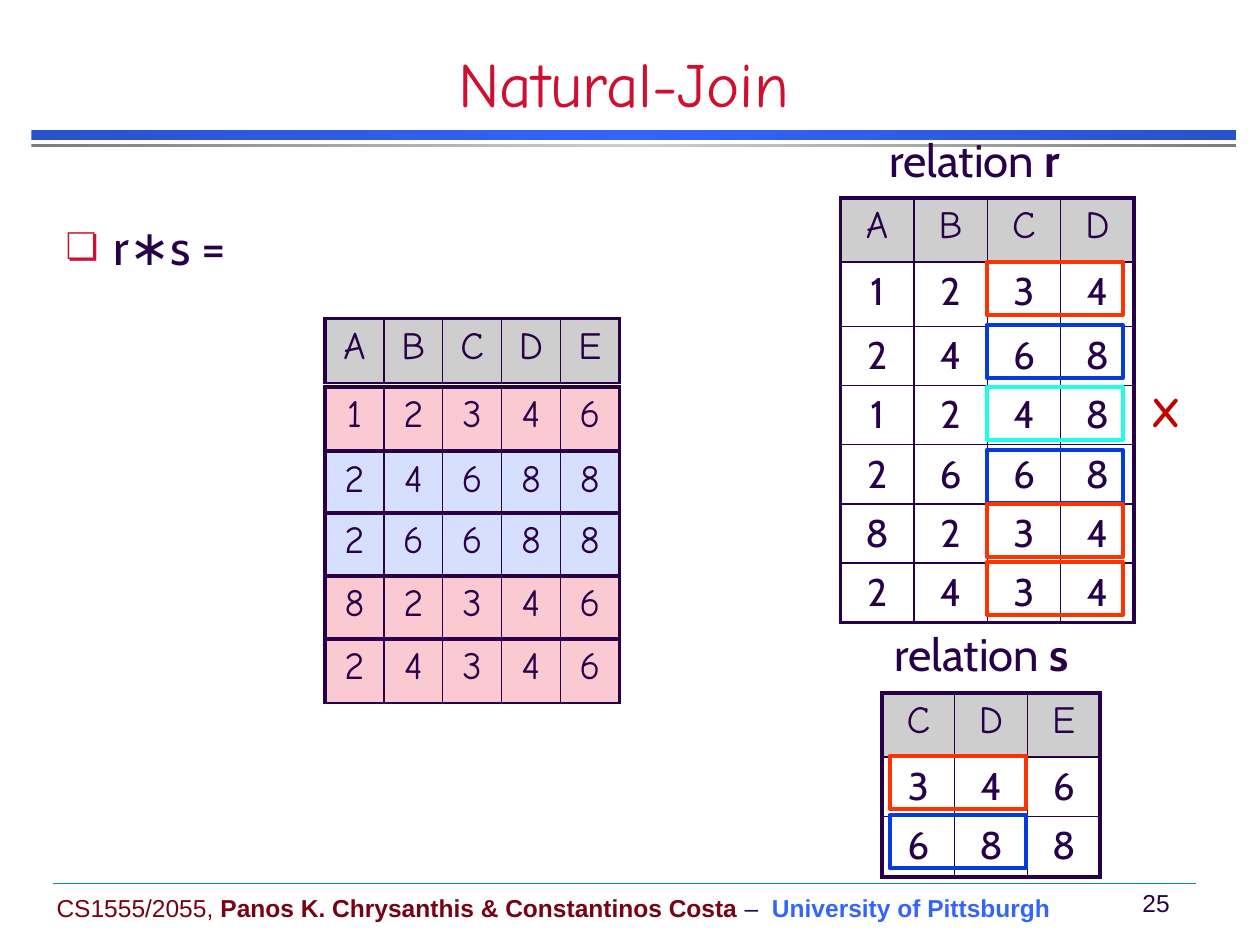
from copy import deepcopy
from lxml.etree import SubElement
from pptx import Presentation
from pptx.dml.color import RGBColor
from pptx.enum.shapes import MSO_CONNECTOR, MSO_SHAPE
from pptx.enum.text import MSO_ANCHOR, PP_ALIGN
from pptx.oxml.ns import qn
from pptx.util import Inches, Pt

INK = RGBColor(0x28, 0x00, 0x49)
CRIMSON = RGBColor(0xCF, 0x0E, 0x30)
MAROON = RGBColor(0x79, 0x00, 0x15)
AZURE = RGBColor(0x33, 0x65, 0xFB)
NAVY = RGBColor(0x29, 0x51, 0xC9)
SILVER = RGBColor(0xCE, 0xCE, 0xCE)
GREY = RGBColor(0x7C, 0x7C, 0x7C)
TEAL = RGBColor(0x00, 0x96, 0x88)
PINK = RGBColor(0xFB, 0xC9, 0xD2)
PALE = RGBColor(0xD6, 0xE0, 0xFE)
ORANGE = RGBColor(0xFF, 0x33, 0x00)
BLUE = RGBColor(0x04, 0x3B, 0xDE)
CYAN = RGBColor(0x1E, 0xFF, 0xEB)
RED = RGBColor(0xC0, 0x00, 0x00)
HAND, SANS, PLAIN = "Comic Neue", "Cabin", "Arial"

# Relations: left, top, column width, row heights, rows of values
RELATIONS = [
    (6.67, 1.57, 0.583, [0.51, 0.51] + [0.47] * 5,
     ["ABCD", "1234", "2468", "1248", "2668", "8234", "2434"]),
    (7, 5.5, 0.577, [0.51, 0.47, 0.48], ["CDE", "346", "688"]),
]
# Join result: one strip per tuple, with its top and fill
STRIPS = [
    ("ABCDE", 2.53, SILVER), ("12346", 3.07, PINK), ("24688", 3.58, PALE),
    ("26688", 4.07, PALE), ("82346", 4.57, PINK), ("24346", 5.07, PINK),
]
# Matching C, D pairs: left, then top and colour of each frame
PAIRS = {
    7.83: [(2.08, ORANGE), (2.58, BLUE), (3.07, CYAN),
           (3.57, BLUE), (4, ORANGE), (4.46, ORANGE)],
    7.06: [(6, ORANGE), (6.47, BLUE)],
}
LABELS = [("r", 6.96, 1.05), ("s", 7, 4.97)]
BARS = [(1.03, 0.08, (NAVY, AZURE, NAVY)), (1.14, 0.03, (GREY, SILVER, GREY))]
FOOTER = [
    ("CS1555/2055, ", MAROON, False),
    ("Panos K. Chrysanthis & Constantinos Costa", MAROON, True),
    (" –  ", INK, False),
    ("University of Pittsburgh", AZURE, True),
]


def box(x, y, w, h):
    return [Inches(v) for v in (x, y, w, h)]


def place(shape, x, y, w, h):
    shape.left, shape.top, shape.width, shape.height = box(x, y, w, h)


def style(run, face, size, color, bold=False):
    font = run.font
    font.name, font.size, font.bold = face, Pt(size), bold
    font.color.rgb = color


def add_rect(slide, *where):
    rect = slide.shapes.add_shape(MSO_SHAPE.RECTANGLE, *box(*where))
    rect.shadow.inherit = False
    return rect


def add_bar(slide, top, height, colors):
    bar = add_rect(slide, 0.25, top, 9.56, height)
    bar.line.fill.background()
    bar.fill.gradient()
    bar.fill.gradient_angle = 0
    stops = bar._element.spPr.find(".//" + qn("a:gsLst"))
    stops.append(deepcopy(stops[0]))
    for i, stop in enumerate(bar.fill.gradient_stops):
        stop.color.rgb, stop.position = colors[i], i / 2


def add_text(slide, where, runs, face, size, wrap=False, anchor=MSO_ANCHOR.TOP):
    """Add a one-paragraph box; each run is (text, colour, bold)."""
    frame = slide.shapes.add_textbox(*box(*where)).text_frame
    frame.word_wrap, frame.vertical_anchor = wrap, anchor
    para = frame.paragraphs[0]
    for text, color, bold in runs:
        run = para.add_run()
        run.text = text
        style(run, face, size, color, bold)
    return para


def set_edges(cell, widths):
    """Draw the left, right, top and bottom borders in that order."""
    props = cell._tc.get_or_add_tcPr()
    for i, (side, width) in enumerate(zip("LRTB", widths)):
        line = SubElement(props, qn("a:ln" + side), w=str(Pt(width)))
        fill = SubElement(line, qn("a:solidFill"))
        SubElement(fill, qn("a:srgbClr"), val=str(INK))
        props.insert(i, line)


def add_grid(slide, x, y, width, heights, rows, head, face, base=2.25):
    """Add a table with a thick frame; base is the bottom edge's width."""
    n, m = len(rows), len(rows[0])
    table = slide.shapes.add_table(n, m, *box(x, y, width * m, sum(heights))).table
    table.first_row = table.horz_banding = False
    for col in table.columns:
        col.width = Inches(width)
    for i, values in enumerate(rows):
        table.rows[i].height = Inches(heights[i])
        for j, value in enumerate(values):
            cell = table.cell(i, j)
            cell.text = value
            para = cell.text_frame.paragraphs[0]
            para.alignment = PP_ALIGN.CENTER
            style(para.runs[0], face if i else HAND, 22, INK)
            if i == 0:
                cell.fill.solid()
                cell.fill.fore_color.rgb = head
            else:
                cell.fill.background()
            set_edges(cell, [2.25 if j == 0 else 1, 2.25 if j == m - 1 else 1,
                             2.25 if i == 0 else 1, base if i == n - 1 else 1])


def fill_title(slide):
    title = slide.shapes.title
    place(title, 0, 0.42, 9.9, 0.58)
    frame = title.text_frame
    frame.text, frame.vertical_anchor = "Natural-Join", MSO_ANCHOR.BOTTOM
    para = frame.paragraphs[0]
    para.alignment = PP_ALIGN.CENTER
    style(para.runs[0], HAND, 36, CRIMSON)


def fill_body(slide):
    body = slide.placeholders[1]
    place(body, 0.42, 1.33, 6.83, 5.54)
    frame = body.text_frame
    frame.text, frame.margin_top = "r∗s =", Inches(0.44)
    para = frame.paragraphs[0]
    para.line_spacing, para.space_before = 0.9, Pt(0)
    props = para._p.get_or_add_pPr()
    props.set("marL", str(Inches(0.38)))
    props.set("indent", str(-Inches(0.38)))
    color = SubElement(props, qn("a:buClr"))
    SubElement(color, qn("a:srgbClr"), val=str(CRIMSON))
    SubElement(props, qn("a:buSzPct"), val="75000")
    SubElement(props, qn("a:buChar"), char="❏")
    style(para.runs[0], SANS, 28, INK)


def add_footer(slide):
    add_text(slide, (0.35, 6.8, 8.11, 0.57), FOOTER, PLAIN, 14,
             anchor=MSO_ANCHOR.BOTTOM)
    page = add_text(slide, (8.93, 7, 0.49, 0.33), [("25", INK, False)], PLAIN, 14,
                    anchor=MSO_ANCHOR.MIDDLE)
    page.alignment = PP_ALIGN.CENTER
    rule = slide.shapes.add_connector(MSO_CONNECTOR.STRAIGHT,
                                      *box(0.42, 7.01, 9.49, 7.01))
    rule.line.color.rgb, rule.line.width = TEAL, Pt(0.25)
    SubElement(rule._element.spPr, qn("a:effectLst"))


def main():
    deck = Presentation()
    deck.slide_width, deck.slide_height = Inches(10), Inches(7.5)
    slide = deck.slides.add_slide(deck.slide_layouts[1])
    for bar in BARS:
        add_bar(slide, *bar)
    add_footer(slide)
    fill_title(slide)
    fill_body(slide)
    for relation in RELATIONS:
        add_grid(slide, *relation, SILVER, SANS)
    for values, top, color in STRIPS:
        add_grid(slide, 2.58, top, 0.467, [0.51], [values], color, HAND, base=1)
    for name, x, y in LABELS:
        para = add_text(slide, (x, y, 1.67, 0.53),
                        [("relation ", INK, False), (name, INK, True)], SANS, 26)
        para.line_spacing = 0.9
    for x, frames in PAIRS.items():
        for y, color in frames:
            frame = add_rect(slide, x, y, 1.08, 0.42)
            frame.fill.background()
            frame.line.color.rgb, frame.line.width = color, Pt(2.25)
    add_text(slide, (9.04, 3.01, 0.5, 0.5), [("X", RED, True)], HAND, 24, wrap=True)
    deck.save("out.pptx")


if __name__ == "__main__":
    main()
